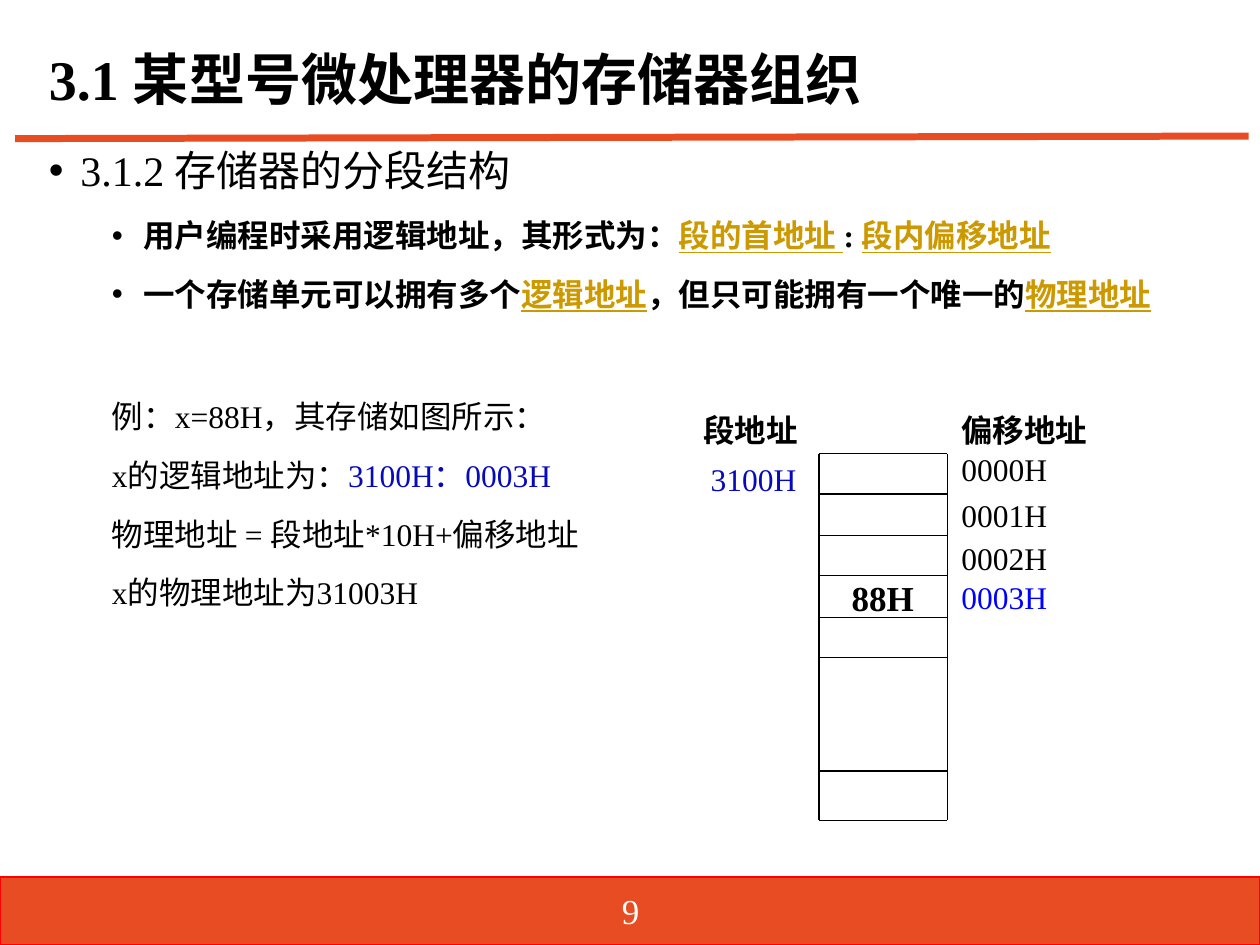
from lxml.etree import SubElement
from pptx import Presentation
from pptx.dml.color import RGBColor
from pptx.enum.shapes import MSO_CONNECTOR, MSO_SHAPE
from pptx.enum.text import MSO_ANCHOR, PP_ALIGN
from pptx.oxml.ns import qn
from pptx.util import Inches, Pt

ORANGE = RGBColor(0xE8, 0x4C, 0x22)
RED = RGBColor(0xFF, 0x00, 0x00)
BLACK = RGBColor(0x00, 0x00, 0x00)
WHITE = RGBColor(0xFF, 0xFF, 0xFF)
GOLD = RGBColor(0xCC, 0x99, 0x00)
NAVY = RGBColor(0x06, 0x0A, 0xBA)
BLUE = RGBColor(0x00, 0x00, 0xFF)
SERIF = "Times New Roman"
SANS = "DejaVu Sans"

POINTS = [
    [("用户编程时采用逻辑地址，其形式为：", BLACK), ("段的首地址 ", GOLD),
     (": ", BLACK), ("段内偏移地址", GOLD)],
    [("一个存储单元可以拥有多个", BLACK), ("逻辑地址", GOLD),
     ("，但只可能拥有一个唯一的", BLACK), ("物理地址", GOLD)],
]
EXAMPLE = [
    [("例：x=88H，其存储如图所示：", BLACK)],
    [("x的逻辑地址为：", BLACK), ("3100H：0003H", NAVY)],
    [("物理地址 = 段地址*10H+偏移地址", BLACK)],
    [("x的物理地址为31003H", BLACK)],
]

CELL_LEFT, CELL_RIGHT = 6.5, 7.52
MEMORY_TOP, ROW_HEIGHT = 3.6, 0.324
ROW_LINES = [round(MEMORY_TOP + i * ROW_HEIGHT, 2) for i in range(6)] + [6.12, 6.51]
MEMORY_LABELS = [
    ("段地址", 5.58, 3.21, 0.85, SANS, BLACK, True),
    ("偏移地址", 7.63, 3.21, 1.18, SANS, BLACK, True),
    ("3100H", 5.64, 3.6, 0.94, SERIF, NAVY, False),
    ("0000H", 7.63, 3.52, 0.94, SERIF, BLACK, False),
    ("0001H", 7.63, 3.89, 0.94, SERIF, BLACK, False),
    ("0002H", 7.63, 4.23, 0.94, SERIF, BLACK, False),
    ("0003H", 7.63, 4.54, 0.94, SERIF, BLUE, False),
]


def add_span(para, text, size, color=BLACK, font=SERIF, bold=False):
    span = para.add_run()
    span.text = text
    span.font.size = Pt(size)
    span.font.name = font
    span.font.bold = bold
    span.font.color.rgb = color
    return span


def add_text_frame(shapes, left, top, width, height, anchor=MSO_ANCHOR.TOP):
    box = shapes.add_textbox(Inches(left), Inches(top), Inches(width), Inches(height))
    frame = box.text_frame
    frame.word_wrap = True
    frame.vertical_anchor = anchor
    return frame


def add_line(shapes, start, end, color, weight):
    line = shapes.add_connector(MSO_CONNECTOR.STRAIGHT, *map(Inches, start + end))
    line.line.color.rgb = color
    line.line.width = Pt(weight)
    SubElement(line._element.spPr, qn("a:effectLst"))


def format_body_para(para, margin, indent=0, before=6):
    """Set spacing and indent; a hanging indent also gets a bullet."""
    para.space_before = Pt(before)
    para.space_after = Pt(6)
    props = para._p.get_or_add_pPr()
    props.set("marL", str(Inches(margin)))
    props.set("indent", str(Inches(indent)))
    if indent:
        SubElement(props, qn("a:buFont"), typeface="Arial")
        SubElement(props, qn("a:buChar"), char="•")


def add_frame_parts(page):
    """Add the footer bar, page number, title and title rule."""
    bar = page.shapes.add_shape(MSO_SHAPE.RECTANGLE, Inches(0), Inches(6.96),
                                Inches(10), Inches(0.54))
    bar.shadow.inherit = False
    bar.fill.solid()
    bar.fill.fore_color.rgb = ORANGE
    bar.line.color.rgb = RED
    bar.line.width = Pt(0)
    add_line(page.shapes, (0.12, 1.1), (9.91, 1.08), ORANGE, 4)

    title = add_text_frame(page.shapes, 0.29, 0.21, 9.44, 0.88, MSO_ANCHOR.MIDDLE)
    title.paragraphs[0].line_spacing = 0.9
    add_span(title.paragraphs[0], "3.1 某型号微处理器的存储器组织", 32, bold=True)

    number = add_text_frame(page.shapes, 3.88, 7.03, 2.25, 0.4, MSO_ANCHOR.MIDDLE)
    number.paragraphs[0].alignment = PP_ALIGN.CENTER
    add_span(number.paragraphs[0], "9", 20, WHITE)


def add_body(page):
    body = add_text_frame(page.shapes, 0.29, 1.1, 9.44, 5.72)
    heading = body.paragraphs[0]
    format_body_para(heading, 0.25, -0.25)
    add_span(heading, "3.1.2 存储器的分段结构", 24)

    for point in POINTS:
        para = body.add_paragraph()
        para.level = 1
        format_body_para(para, 0.75, -0.25)
        for text, color in point:
            span = add_span(para, text, 18, color, bold=True)
            span.font.underline = color == GOLD

    for index, sentence in enumerate(EXAMPLE):
        para = body.add_paragraph()
        para.level = 1
        format_body_para(para, 0.5, before=6 if index else 42)
        for text, color in sentence:
            add_span(para, text, 18, color)


def add_memory_diagram(page):
    shapes = page.shapes.add_group_shape().shapes
    bottom = ROW_LINES[-1]
    for x in (CELL_LEFT, CELL_RIGHT):
        add_line(shapes, (x, MEMORY_TOP), (x, bottom), BLACK, 0.75)
    for y in ROW_LINES:
        add_line(shapes, (CELL_LEFT, y), (CELL_RIGHT, y), BLACK, 0.75)

    value = add_text_frame(shapes, 6.66, 4.53, 0.71, 0.43)
    add_span(value.paragraphs[0], "88H", 20, bold=True)
    for text, left, top, width, font, color, bold in MEMORY_LABELS:
        label = add_text_frame(shapes, left, top, width, 0.4)
        label.margin_left = label.margin_right = 0
        add_span(label.paragraphs[0], text, 18, color, font, bold)


def main():
    deck = Presentation()
    deck.slide_width, deck.slide_height = Inches(10), Inches(7.5)
    page = deck.slides.add_slide(deck.slide_layouts[6])
    add_frame_parts(page)
    add_body(page)
    add_memory_diagram(page)
    deck.save("out.pptx")


if __name__ == "__main__":
    main()
